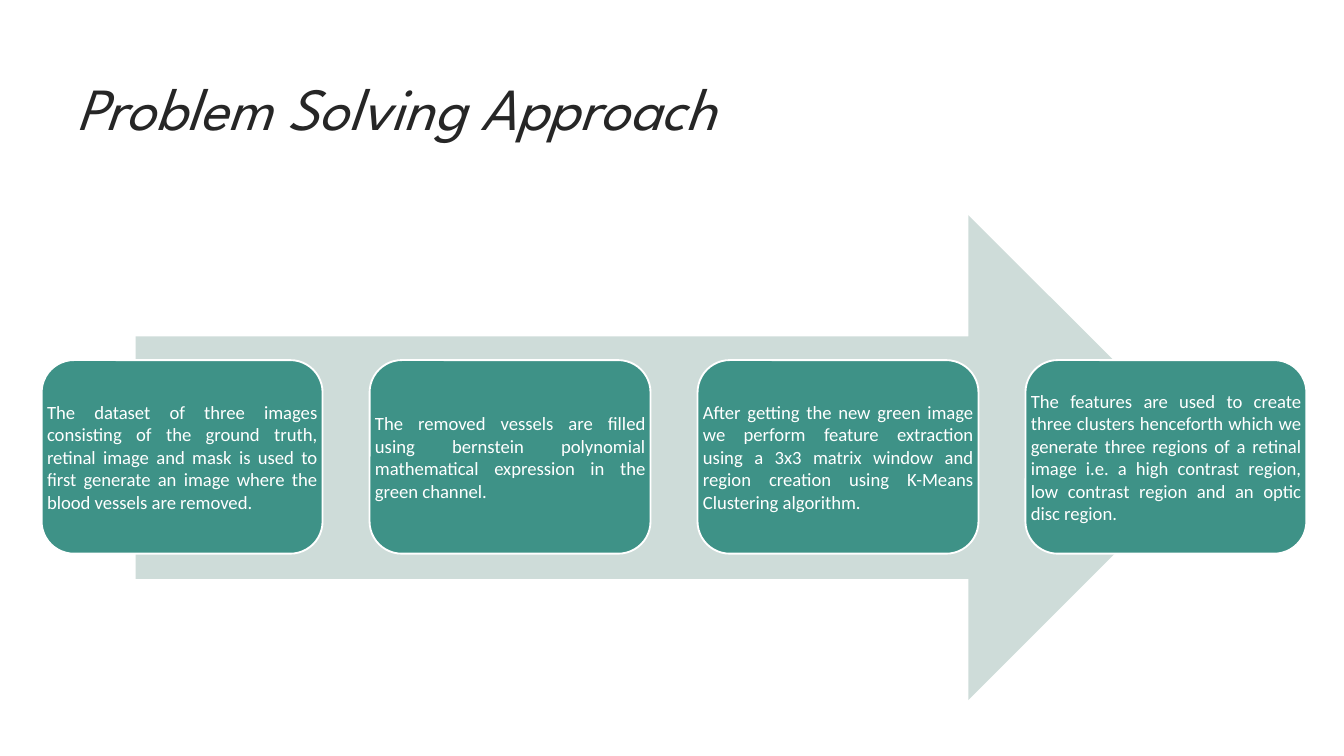
import pptx
import pptx.util
import pptx.dml.color
import pptx.enum.shapes
import pptx.enum.text

Inches = pptx.util.Inches
Pt = pptx.util.Pt
RGBColor = pptx.dml.color.RGBColor
MSO_SHAPE = pptx.enum.shapes.MSO_SHAPE
PP_ALIGN = pptx.enum.text.PP_ALIGN
MSO_ANCHOR = pptx.enum.text.MSO_ANCHOR

WHITE = RGBColor(0xFF, 0xFF, 0xFF)
INK = RGBColor(0x26, 0x26, 0x26)
TEAL = RGBColor(0x3E, 0x92, 0x87)
PALE_TEAL = RGBColor(0xCE, 0xDC, 0xD9)

STEP_LEFT, STEP_TOP = 0.31, 2.68
STEP_WIDTH, STEP_HEIGHT = 2.09, 1.44
STEP_PITCH = 2.44
STEP_INSET = 0.04

STEPS = [
    "The dataset of three images consisting of the ground truth, retinal image "
    "and mask is used to first generate an image where the blood vessels are removed.",
    "The removed vessels are filled using bernstein polynomial mathematical "
    "expression in the green channel.",
    "After getting the new green image we perform feature extraction using a 3x3 "
    "matrix window and region creation using K-Means Clustering algorithm.",
    "The features are used to create three clusters henceforth which we generate "
    "three regions of a retinal image i.e. a high contrast region, low contrast "
    "region and an optic disc region.",
]


def add_block(s, kind, box, fill, line=None):
    """Add a filled preset shape, outlined only if a line colour is given."""
    sp = s.shapes.add_shape(kind, *map(Inches, box))
    sp.shadow.inherit = False
    sp.fill.solid()
    sp.fill.fore_color.rgb = fill
    if line is None:
        sp.line.fill.background()
    else:
        sp.line.color.rgb = line
        sp.line.width = Pt(1)
    return sp


def add_text(s, box, text, font, size, color):
    """Add a wrapped text box with one paragraph."""
    tf = s.shapes.add_textbox(*map(Inches, box)).text_frame
    tf.word_wrap = True
    p = tf.paragraphs[0]
    p.text = text
    p.font.name = font
    p.font.size = Pt(size)
    p.font.color.rgb = color
    return tf


def add_step(s, left, text):
    """Add a rounded card with justified text reaching close to its edges."""
    box = (left, STEP_TOP, STEP_WIDTH, STEP_HEIGHT)
    add_block(s, MSO_SHAPE.ROUNDED_RECTANGLE, box, TEAL, WHITE)
    tf = add_text(s, box, text, "Calibri", 10, WHITE)
    tf.vertical_anchor = MSO_ANCHOR.MIDDLE
    tf.margin_left = tf.margin_right = Inches(STEP_INSET)
    tf.margin_top = tf.margin_bottom = Inches(STEP_INSET)
    tf.paragraphs[0].alignment = PP_ALIGN.JUSTIFY


def main():
    prs = pptx.Presentation()
    # 16:9 page
    prs.slide_width = Inches(10)
    prs.slide_height = Inches(10 * 9 / 16)
    s = prs.slides.add_slide(prs.slide_layouts[6])

    # Title
    tf = add_text(s, (0.47, 0.48, 8.59, 0.57), "Problem Solving Approach",
                  "League Spartan", 32, INK)
    tf.paragraphs[0].font.italic = True

    # Arrow behind the steps
    add_block(s, MSO_SHAPE.RIGHT_ARROW, (1.01, 1.6, 8, 3.61), PALE_TEAL)

    # Steps, evenly spaced
    for i, text in enumerate(STEPS):
        add_step(s, STEP_LEFT + i * STEP_PITCH, text)

    prs.save("out.pptx")


if __name__ == "__main__":
    main()
